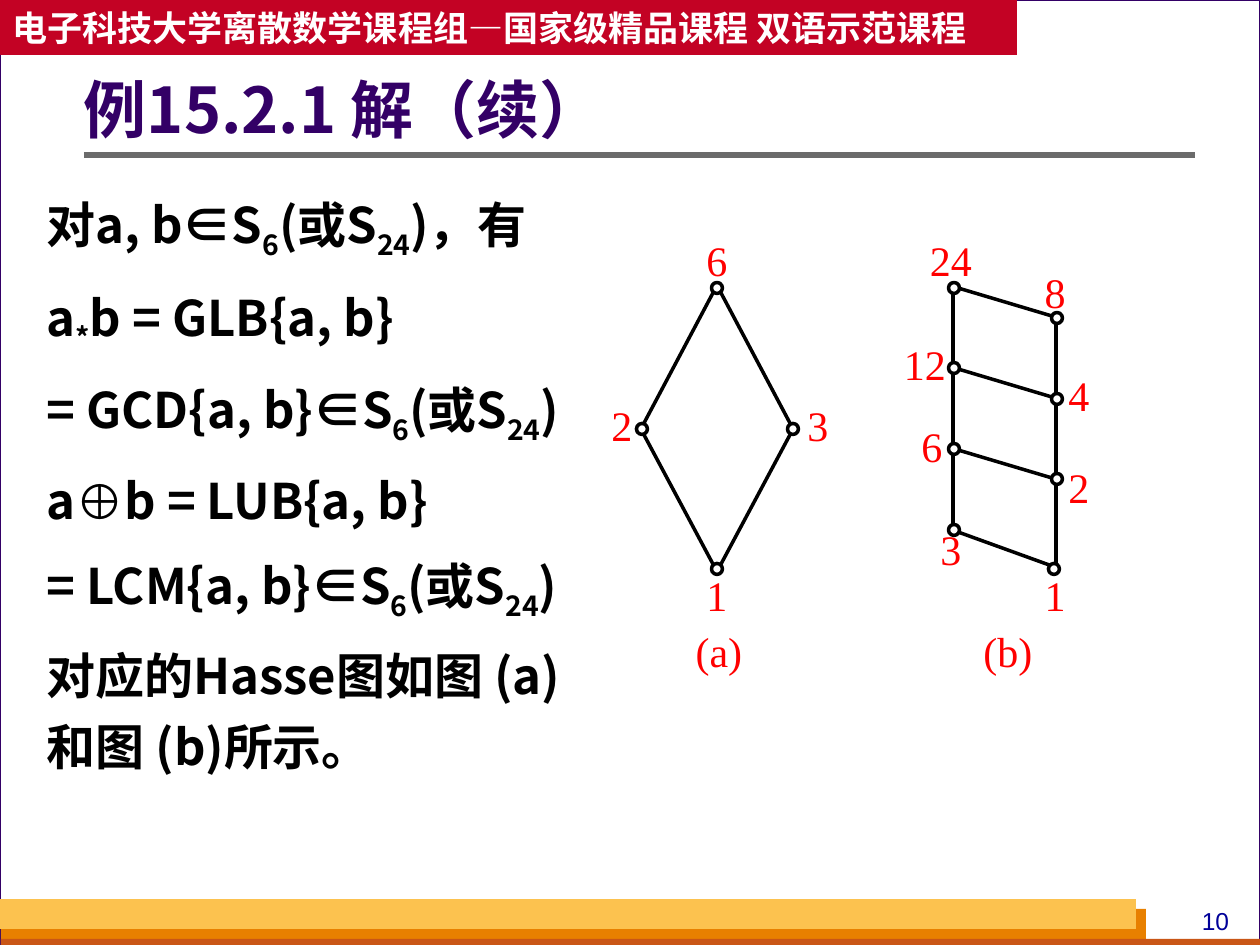
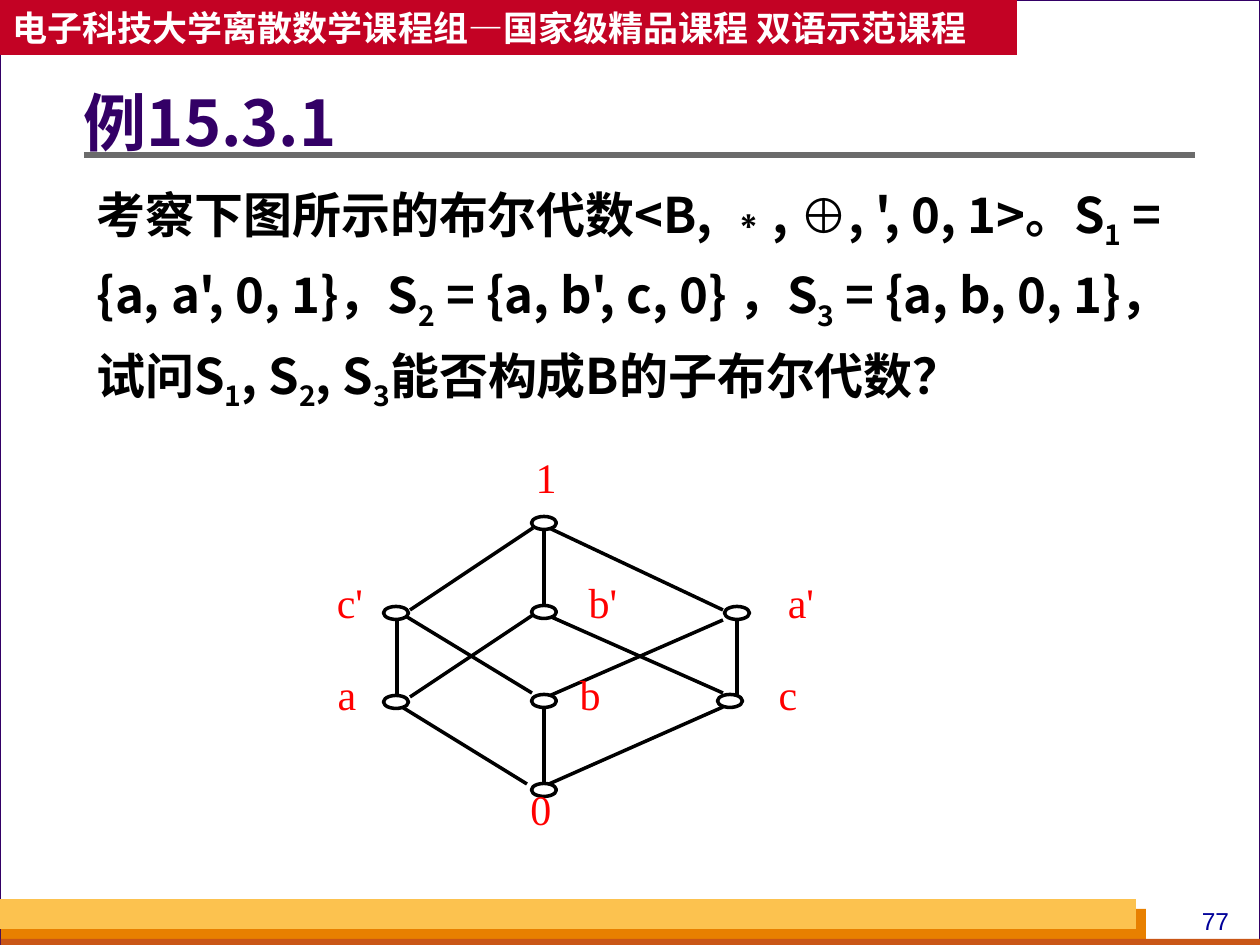
from itertools import groupby

from lxml import etree
from pptx import Presentation
from pptx.dml.color import RGBColor
from pptx.enum.shapes import MSO_CONNECTOR, MSO_SHAPE
from pptx.enum.text import MSO_ANCHOR, MSO_AUTO_SIZE, PP_ALIGN
from pptx.oxml.ns import qn
from pptx.util import Emu, Pt

# Shared scale, colours and fonts
EMU_PER_PX = 914400 / 126
WIDTH, HEIGHT = 1260, 945

WHITE = RGBColor(0xFF, 0xFF, 0xFF)
BLACK = RGBColor(0x00, 0x00, 0x00)
PURPLE = RGBColor(0x33, 0x00, 0x66)
CRIMSON = RGBColor(0xC3, 0x02, 0x24)
ORANGE = RGBColor(0xE8, 0x80, 0x00)
RUST = RGBColor(0xC9, 0x56, 0x16)
GOLD = RGBColor(0xFC, 0xC2, 0x4F)
GRAY = RGBColor(0x6B, 0x6B, 0x6B)
BACKDROP = RGBColor(0xD8, 0xDA, 0xDA)
NAVY = RGBColor(0x00, 0x00, 0x99)
RED = RGBColor(0xFF, 0x00, 0x00)

HEADING_FONT = "Noto Sans CJK SC"
SYMBOL_FONT = "Arial"
LABEL_FONT = "Times New Roman"
SYMBOLS = "⊕∗"

COURSE = "电子科技大学离散数学课程组—国家级精品课程 双语示范课程"


def px(length):
    return Emu(round(length * EMU_PER_PX))


def place(shape, left, top, width, height):
    shape.left, shape.top = px(left), px(top)
    shape.width, shape.height = px(width), px(height)


def style_span(span, size, font, color, bold=False):
    span.font.size = Pt(size)
    span.font.name = font
    span.font.color.rgb = color
    span.font.bold = bold
    east_asian = etree.SubElement(span.font._element, qn("a:ea"))
    east_asian.set("typeface", font)


def set_margins(frame, left, top, right, bottom):
    frame.margin_left, frame.margin_top = px(left), px(top)
    frame.margin_right, frame.margin_bottom = px(right), px(bottom)


def write_line(frame, text, size, font, color, align, bold=False):
    frame.text = text
    para = frame.paragraphs[0]
    para.alignment = align
    style_span(para.runs[0], size, font, color, bold)


# Basic elements
def add_block(page, kind, bounds, fill, line=None, line_width=0.75):
    block = page.shapes.add_shape(kind, *map(px, bounds))
    block.shadow.inherit = False
    block.fill.solid()
    block.fill.fore_color.rgb = fill
    if line is None:
        block.line.fill.background()
    else:
        block.line.color.rgb = line
        block.line.width = Pt(line_width)
    return block


def add_line(page, start, end, color=BLACK, width=2):
    line = page.shapes.add_connector(
        MSO_CONNECTOR.STRAIGHT, *map(px, start + end))
    line.line.color.rgb = color
    line.line.width = Pt(width)
    etree.SubElement(line._element.spPr, qn("a:effectLst"))


def add_label(page, text, bounds, size, font, color):
    box = page.shapes.add_textbox(*map(px, bounds))
    frame = box.text_frame
    frame.word_wrap = True
    write_line(frame, text, size, font, color, PP_ALIGN.CENTER)
    return frame


# Slide furniture
def add_frame(page, number):
    page.background.fill.solid()
    page.background.fill.fore_color.rgb = BACKDROP
    rectangle = MSO_SHAPE.RECTANGLE
    add_block(page, rectangle, (0, 0, WIDTH, HEIGHT), WHITE, PURPLE)
    add_block(page, rectangle, (1, 909, 1145, 36), ORANGE)
    add_block(page, rectangle, (1, 939, 1259, 6), RUST)
    add_block(page, rectangle, (0, 899, 1136, 30), GOLD)
    add_label(page, number, (1176, 900, 79, 43), 14, SYMBOL_FONT, NAVY)
    add_line(page, (84, 155), (1195, 155), GRAY, 3)

    banner = add_block(page, rectangle, (0, 0, 1017, 55), CRIMSON)
    frame = banner.text_frame
    frame.word_wrap = True
    frame.vertical_anchor = MSO_ANCHOR.MIDDLE
    write_line(frame, COURSE, 20, HEADING_FONT, WHITE, PP_ALIGN.LEFT, True)


def fill_title(page, text, top):
    title = page.shapes.title
    place(title, 84, top, 1111, 120)
    frame = title.text_frame
    frame.auto_size = MSO_AUTO_SIZE.NONE
    frame.vertical_anchor = MSO_ANCHOR.MIDDLE
    set_margins(frame, 0, 6, 13, 6)
    write_line(frame, text, 36, HEADING_FONT, PURPLE, PP_ALIGN.LEFT, True)
    frame.paragraphs[0].line_spacing = 0.9


def write_formula(para, formula):
    """Every second part between underscores is a subscript."""
    for index, part in enumerate(formula.split("_")):
        for is_symbol, letters in groupby(part, lambda c: c in SYMBOLS):
            span = para.add_run()
            span.text = "".join(letters)
            font = SYMBOL_FONT if is_symbol else HEADING_FONT
            style_span(span, 28, font, BLACK, True)
            if index % 2:
                span.font._element.set("baseline", "-25000")


def fill_body(page, formulas, bounds):
    body = page.placeholders[1]
    place(body, *bounds)
    frame = body.text_frame
    frame.auto_size = MSO_AUTO_SIZE.NONE
    for index, formula in enumerate(formulas):
        para = frame.add_paragraph() if index else frame.paragraphs[0]
        properties = para._p.get_or_add_pPr()
        properties.set("marL", "0")
        properties.set("indent", "0")
        etree.SubElement(properties, qn("a:buNone"))
        para.line_spacing = 1.2
        para.space_before = Pt(7 if index else 0)
        write_formula(para, formula)


def add_page(deck, number, title, title_top, formulas, body_bounds):
    page = deck.slides.add_slide(deck.slide_layouts[1])
    add_frame(page, number)
    fill_title(page, title, title_top)
    fill_body(page, formulas, body_bounds)
    # Text stays in front of the white panel
    for holder in list(page.placeholders):
        page.shapes._spTree.append(holder.element)
    return page


# Hasse diagrams
def add_hasse(page, edges, nodes, node_size, labels, label_pad, label_height):
    for start, end in edges:
        add_line(page, start, end)
    width, height = node_size
    for x, y in nodes:
        bounds = (x - width / 2, y - height / 2, width, height)
        add_block(page, MSO_SHAPE.OVAL, bounds, WHITE, BLACK, 2)
    for text, center, top in labels:
        label_width = 24 * len(text) + label_pad
        bounds = (center - label_width / 2, top, label_width, label_height)
        frame = add_label(page, text, bounds, 24, LABEL_FONT, RED)
        set_margins(frame, 0, 0, 0, 0)


def add_divisor_lattices(page):
    # (a) divisors of 6
    edges = [((717 + side * 3, 291), (717 + side * 74, 425))
             for side in (-1, 1)]
    edges += [((717 + side * 74, 433), (717 + side * 3, 566))
              for side in (-1, 1)]
    nodes = [(717, 288), (642, 429), (793, 429), (717, 569)]
    labels = [("6", 717, 234), ("2", 622, 399), ("3", 818, 399),
              ("1", 717, 570), ("(a)", 719, 626)]

    # (b) divisors of 24
    edges += [((953, 288), (953, 533)), ((1056, 320), (1056, 563)),
              ((958, 532), (1052, 566))]
    edges += [((958, y), (1052, y + 28)) for y in (288, 369, 450)]
    nodes += [(954, y) for y in (288, 368, 449, 530)]
    nodes += [(1057, y) for y in (318, 399, 479)] + [(1054, 569)]
    labels += [("24", 951, 234), ("12", 925, 338), ("6", 932, 420),
               ("3", 951, 523), ("8", 1055, 267), ("4", 1079, 369),
               ("2", 1079, 461), ("1", 1055, 570), ("(b)", 1008, 626)]
    add_hasse(page, edges, nodes, (11, 11), labels, 0, 55)


def add_boolean_cube(page):
    edges = [
        # From 1
        ((533, 528), (410, 610)), ((544, 529), (544, 606)),
        ((549, 528), (723, 610)),
        # Between the complements and the atoms
        ((397, 620), (397, 696)), ((407, 617), (532, 693)),
        ((533, 615), (410, 697)), ((549, 616), (723, 693)),
        ((723, 620), (549, 696)), ((737, 620), (737, 696)),
        # To 0
        ((402, 707), (527, 784)), ((544, 708), (544, 784)),
        ((723, 707), (549, 784)),
    ]
    nodes = [(544, y) for y in (523, 612, 701, 790)]
    nodes += [(396, 613), (396, 702), (737, 613), (730, 701)]
    labels = [("1", 546, 452), ("c'", 350, 577), ("b'", 603, 577),
              ("a'", 801, 577), ("a", 347, 669), ("b", 590, 669),
              ("c", 788, 669), ("0", 541, 784)]
    add_hasse(page, edges, nodes, (25, 13), labels, 25, 63)


def main():
    deck = Presentation()
    deck.slide_width, deck.slide_height = px(WIDTH), px(HEIGHT)

    # Example 15.2.1
    page = add_page(deck, "10", "例15.2.1 解（续）", 53, [
        "对a, b∈S_6_(或S_24_)，有",
        "a_*_b = GLB{a, b}",
        "= GCD{a, b}∈S_6_(或S_24_)",
        "a⊕b = LUB{a, b}",
        "= LCM{a, b}∈S_6_(或S_24_)",
        "对应的Hasse图如图 (a)和图 (b)所示。",
    ], (34, 175, 566, 675))
    add_divisor_lattices(page)

    # Example 15.3.1
    page = add_page(deck, "77", "例15.3.1", 66, [
        "考察下图所示的布尔代数<B, ∗, ⊕, ', 0, 1>。S_1_ = {a, a', 0, 1}，"
        "S_2_ = {a, b', c, 0} ，S_3_ = {a, b, 0, 1}，"
        "试问S_1_, S_2_, S_3_能否构成B的子布尔代数？",
    ], (84, 165, 1111, 307))
    add_boolean_cube(page)

    deck.save("out.pptx")


if __name__ == "__main__":
    main()
